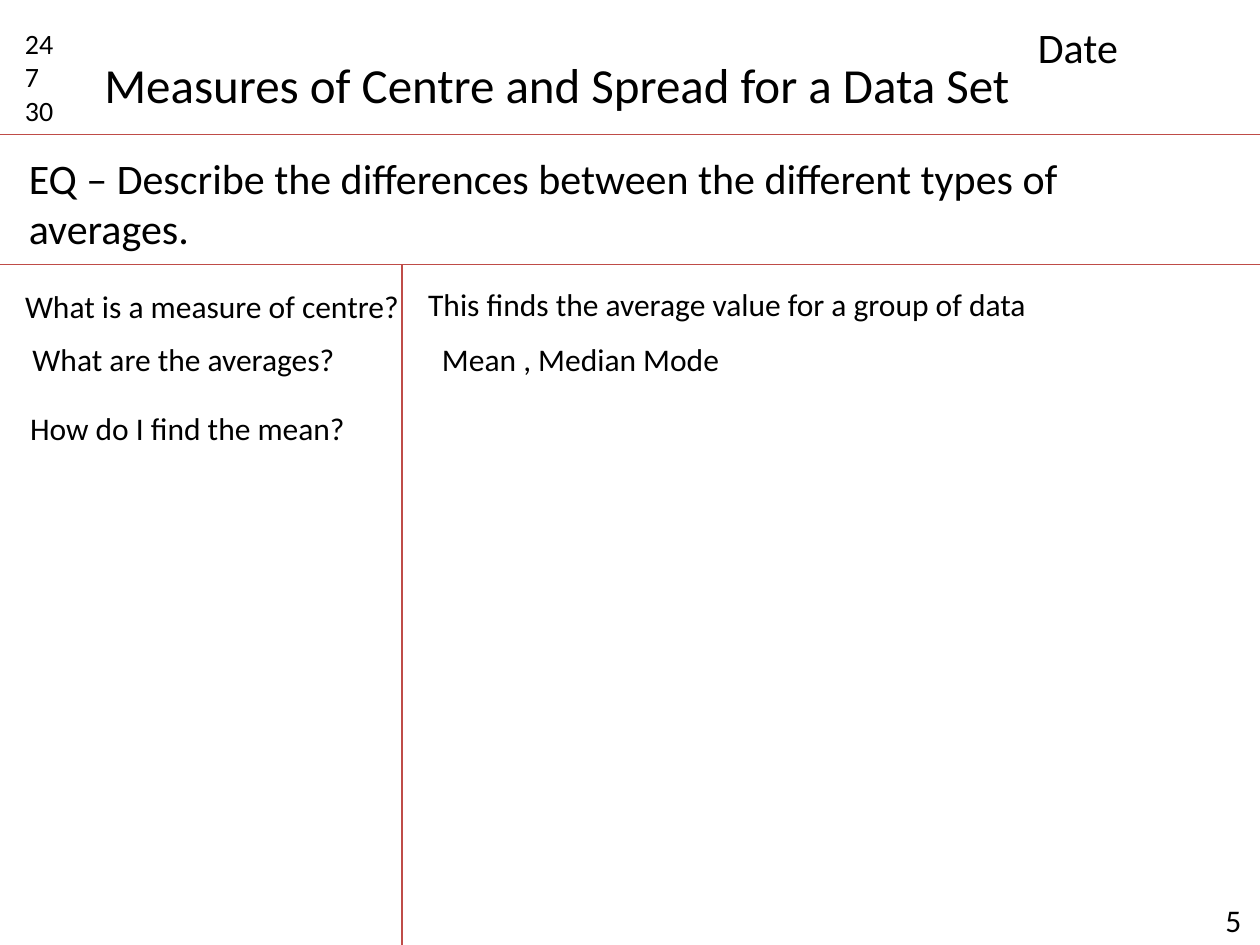
from lxml import etree
from pptx import Presentation
from pptx.dml.color import RGBColor
from pptx.enum.shapes import MSO_CONNECTOR
from pptx.enum.text import MSO_AUTO_SIZE
from pptx.oxml.ns import qn
from pptx.util import Pt

STRAIGHT = MSO_CONNECTOR.STRAIGHT
GROW = MSO_AUTO_SIZE.SHAPE_TO_FIT_TEXT
BLACK = RGBColor(0x00, 0x00, 0x00)
RED = RGBColor(0xBF, 0x4C, 0x48)
FONT = "Calibri"
WIDE, HIGH = 720, 540

# Page rules: under the title, under the question, beside the cues
TOP, MID, SIDE = 77, 151.2, 229.7
RULES = [
    (0, TOP, WIDE, TOP),
    (0, MID, WIDE, MID),
    (SIDE, MID, SIDE, HIGH),
]

# Text: lines, size, wrap, (left, top, width, height)
TEXTS = [
    (["24", "7", "30"], 16, True, (7.2, 11.5, 45.4, 65.5)),
    (["Measures of Centre and Spread for a Data Set"], 28, False,
     (52.6, 27.4, 537.1, 41)),
    (["Date"], 24, True, (586, 8.6, 124.6, 36)),
    (["EQ – Describe the differences between the different types of averages."],
     24, True, (9.4, 83.5, 679, 65.5)),
    (["What is a measure of centre?"], 18, False, (7.2, 160.6, 231.1, 28.8)),
    (["This finds the average value for a group of data"], 18, False,
     (237.6, 159.1, 362.2, 28.8)),
    (["What are the averages?"], 18, False, (11.5, 190.8, 189.4, 28.8)),
    (["Mean , Median Mode"], 18, False, (245.5, 190.8, 175, 28.8)),
    (["How do I find the mean?"], 18, False, (10.1, 230.4, 197.3, 28.8)),
    (["5"], 18, True, (693.1, 511.2, 39.1, 28.8)),
]


def add_rule(slide, ends):
    rule = slide.shapes.add_connector(STRAIGHT, *map(Pt, ends))
    rule.line.color.rgb = RED
    rule.line.width = Pt(0.75)
    etree.SubElement(rule.element.spPr, qn("a:effectLst"))


def add_text(slide, lines, size, wrap, place):
    frame = slide.shapes.add_textbox(*map(Pt, place)).text_frame
    frame.word_wrap = wrap
    frame.auto_size = GROW
    frame.text = "\n".join(lines)
    for para in frame.paragraphs:
        para.font.name = FONT
        para.font.size = Pt(size)
        para.font.color.rgb = BLACK


def main():
    deck = Presentation()
    deck.slide_width, deck.slide_height = Pt(WIDE), Pt(HIGH)
    slide = deck.slides.add_slide(deck.slide_layouts[6])
    for ends in RULES:
        add_rule(slide, ends)
    for item in TEXTS:
        add_text(slide, *item)
    deck.save("out.pptx")


if __name__ == "__main__":
    main()
